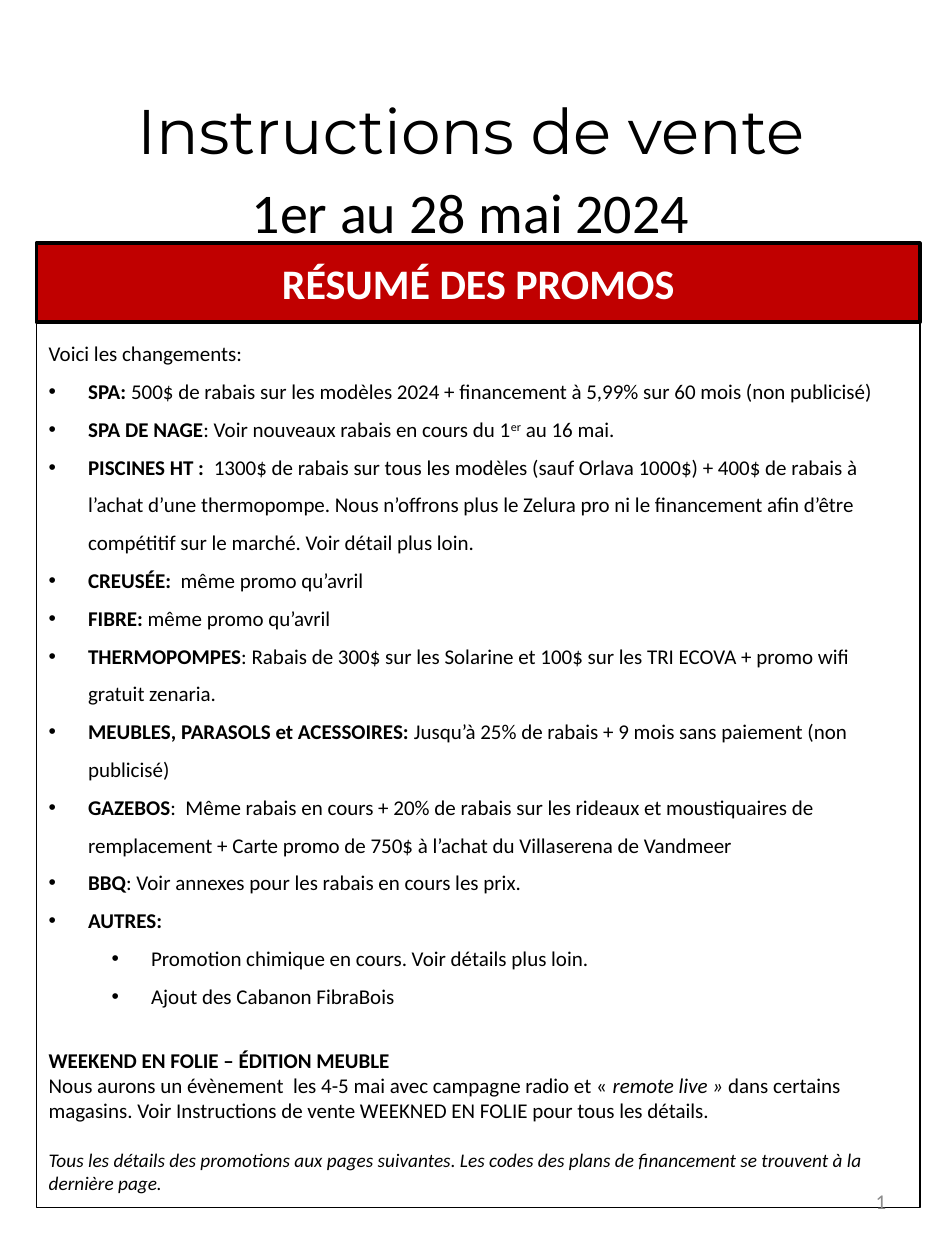
from dataclasses import dataclass
from lxml.etree import SubElement
from pptx import Presentation
from pptx.dml.color import RGBColor
from pptx.enum.shapes import MSO_SHAPE
from pptx.enum.text import MSO_ANCHOR, MSO_AUTO_SIZE, PP_ALIGN
from pptx.oxml.ns import qn
from pptx.util import Pt


@dataclass(frozen=True)
class Theme:
    black: RGBColor = RGBColor(0, 0, 0)
    white: RGBColor = RGBColor(255, 255, 255)
    red: RGBColor = RGBColor(0xC0, 0, 0)
    gray: RGBColor = RGBColor(0x8C, 0x8C, 0x8C)
    sans: str = "Calibri"
    head: str = "Montserrat"
    title: int = 36
    date: int = 32
    band: int = 24
    body: int = 12
    note: int = 11


theme = Theme()


def style(run, size, color=theme.black, bold=False, name=theme.sans):
    font = run.font
    font.name, font.size, font.bold = name, Pt(size), bold
    font.color.rgb = color


def add_bullet(para, level):
    para.level = level
    props = para._p.get_or_add_pPr()
    props.set("marL", str(Pt(22.5 + 36 * level)))
    props.set("indent", str(Pt(-22.5)))
    SubElement(props, qn("a:buFont"), typeface="Arial")
    SubElement(props, qn("a:buChar"), char="•")


deck = Presentation()
deck.slide_width, deck.slide_height = Pt(540), Pt(720)
slide = deck.slides.add_slide(deck.slide_layouts[5])
shapes = slide.shapes

title = shapes.title
title.left, title.top, title.width, title.height = Pt(26), Pt(42.5), Pt(486), Pt(85)
frame = title.text_frame
frame.text = "Instructions de vente\n1er au 28 mai 2024"
frame.word_wrap = True
frame.auto_size = MSO_AUTO_SIZE.NONE
frame.vertical_anchor = MSO_ANCHOR.TOP
looks = [(theme.title, theme.head), (theme.date, theme.sans)]
for para, (size, name) in zip(frame.paragraphs, looks):
    para.alignment = PP_ALIGN.CENTER
    para.line_spacing = 1.15
    para.space_before = para.space_after = Pt(0)
    style(para.runs[0], size, name=name)

band = shapes.add_shape(MSO_SHAPE.RECTANGLE, Pt(20.75), Pt(139), Pt(505), Pt(45))
band.shadow.inherit = False
band.fill.solid()
band.fill.fore_color.rgb = theme.red
band.line.color.rgb = theme.black
band.line.width = Pt(2)
frame = band.text_frame
frame.text = "RÉSUMÉ DES PROMOS"
frame.vertical_anchor = MSO_ANCHOR.MIDDLE
para = frame.paragraphs[0]
para.alignment = PP_ALIGN.CENTER
style(para.runs[0], theme.band, theme.white, True)

promos = [
    (None, [("", "Voici les changements:")]),
    (0, [("b", "SPA: "), ("", "500$ de rabais sur les modèles 2024 + financement à 5,99% sur 60 mois (non publicisé)")]),
    (0, [("b", "SPA DE NAGE"), ("", ": Voir nouveaux rabais en cours du 1"), ("sup", "er"), ("", " au 16 mai.")]),
    (0, [("b", "PISCINES HT :  "), ("", "1300$ de rabais sur tous les modèles (sauf Orlava 1000$) + 400$ de rabais à l’achat d’une thermopompe. Nous n’offrons plus le Zelura pro ni le financement afin d’être compétitif sur le marché. Voir détail plus loin.")]),
    (0, [("b", "CREUSÉE:  "), ("", "même promo qu’avril")]),
    (0, [("b", "FIBRE: "), ("", "même promo qu’avril")]),
    (0, [("b", "THERMOPOMPES"), ("", ": Rabais de 300$ sur les Solarine et 100$ sur les TRI ECOVA + promo wifi gratuit zenaria.")]),
    (0, [("b", "MEUBLES, PARASOLS et ACESSOIRES:"), ("", " Jusqu’à 25% de rabais + 9 mois sans paiement (non publicisé)")]),
    (0, [("b", "GAZEBOS"), ("", ":  Même rabais en cours + 20% de rabais sur les rideaux et moustiquaires de remplacement + Carte promo de 750$ à l’achat du Villaserena de Vandmeer")]),
    (0, [("b", "BBQ"), ("", ": Voir annexes pour les rabais en cours les prix.")]),
    (0, [("b", "AUTRES:")]),
    (1, [("", "Promotion chimique en cours. Voir détails plus loin.")]),
    (1, [("", "Ajout des Cabanon FibraBois")]),
]
event = [
    (22, theme.body, [("b", "WEEKEND EN FOLIE – ÉDITION MEUBLE")]),
    (0, theme.body, [("", "Nous aurons un évènement  les 4-5 mai avec campagne radio et « "), ("i", "remote live »"), ("", " dans certains magasins. Voir Instructions de vente WEEKNED EN FOLIE pour tous les détails.")]),
    (14.6, theme.note, [("i", "Tous les détails des promotions aux pages suivantes. Les codes des plans de financement se trouvent à la dernière page.")]),
]
rows = [(level, 1.5, 0, theme.body, parts) for level, parts in promos]
rows += [(None, 1.0, gap, size, parts) for gap, size, parts in event]

panel = shapes.add_shape(MSO_SHAPE.RECTANGLE, Pt(20.75), Pt(184), Pt(505), Pt(506))
panel.shadow.inherit = False
panel.fill.background()
panel.line.color.rgb = theme.black
panel.line.width = Pt(0.75)
frame = panel.text_frame
frame.word_wrap = True
frame.vertical_anchor = MSO_ANCHOR.TOP
for index, (level, lead, gap, size, parts) in enumerate(rows):
    para = frame.add_paragraph() if index else frame.paragraphs[0]
    para.alignment = PP_ALIGN.LEFT
    para.line_spacing = lead
    if gap:
        para.space_before = Pt(gap)
    if level is not None:
        add_bullet(para, level)
    for kind, text in parts:
        run = para.add_run()
        run.text = text
        style(run, size, bold=kind == "b")
        run.font.italic = kind == "i"
        if kind == "sup":
            run._r.get_or_add_rPr().set("baseline", "30000")

number = shapes.add_textbox(Pt(387.5), Pt(667.5), Pt(126), Pt(38))
frame = number.text_frame
frame.text = "1"
frame.word_wrap = True
frame.vertical_anchor = MSO_ANCHOR.MIDDLE
para = frame.paragraphs[0]
para.alignment = PP_ALIGN.RIGHT
style(para.runs[0], theme.body, theme.gray)

deck.save("out.pptx")
